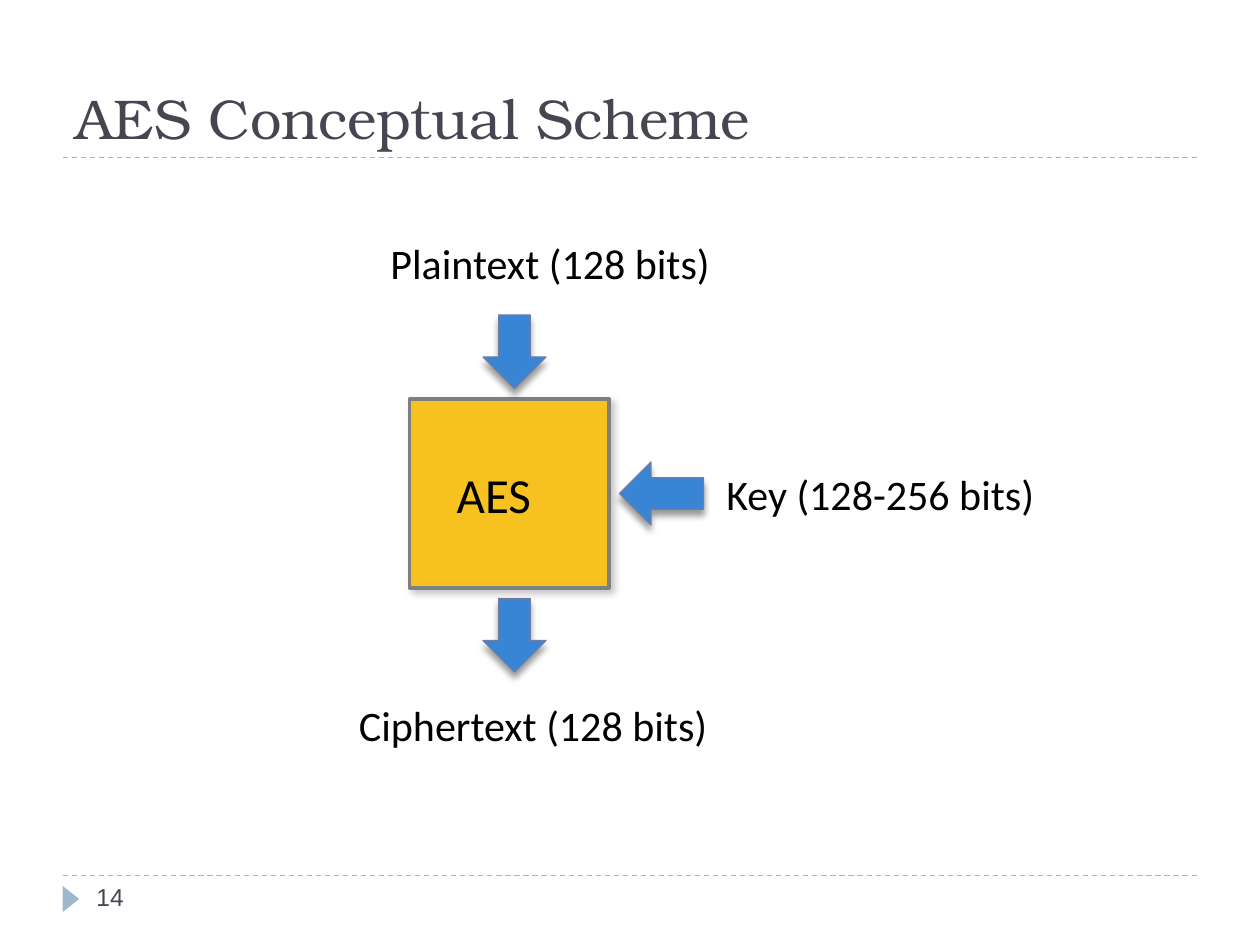
from lxml import etree
from pptx import Presentation
from pptx.dml.color import RGBColor
from pptx.enum.dml import MSO_LINE
from pptx.enum.shapes import MSO_CONNECTOR, MSO_SHAPE
from pptx.enum.text import MSO_ANCHOR, MSO_AUTO_SIZE, PP_ALIGN
from pptx.oxml.ns import qn
from pptx.util import Pt

DASH = MSO_LINE.DASH
STRAIGHT = MSO_CONNECTOR.STRAIGHT
RECTANGLE, TRIANGLE = MSO_SHAPE.RECTANGLE, MSO_SHAPE.ISOSCELES_TRIANGLE
DOWN, LEFT_ARROW = MSO_SHAPE.DOWN_ARROW, MSO_SHAPE.LEFT_ARROW
TOP, MIDDLE, BOTTOM = MSO_ANCHOR.TOP, MSO_ANCHOR.MIDDLE, MSO_ANCHOR.BOTTOM
LEFT = PP_ALIGN.LEFT
NO_FIT = MSO_AUTO_SIZE.NONE

TITLE = "AES Conceptual Scheme"
PAGE_NUMBER = "14"
CIPHER = "AES"
LABELS = [
    ("Plaintext (128 bits)", (216, 132, 200, 36.5)),
    ("Ciphertext (128 bits)", (198, 396, 223, 36.5)),
    ("Key (128-256 bits)", (408, 264, 195, 36.5)),
]

THEME = {
    "rule": "9FB8CD",
    "block": "F7C120",
    "block_edge": "7F7F7F",
    "arrow": "3885D6",
    "arrow_edge": "727CA3",
    "title": {"name": "TeX Gyre Bonum", "size": Pt(32), "color": "464653"},
    "page": {"name": "Arial", "size": Pt(14), "color": "464653"},
    "label": {"name": "Calibri", "size": Pt(24), "color": "000000"},
    "cipher": {"name": "Calibri", "size": Pt(28), "color": "000000"},
}
BLOCK_SHADOW = {"color": "808080", "alpha": 43, "blur": 4, "distance": 3, "angle": 45}
ARROW_SHADOW = {"color": "000000", "alpha": 40, "blur": 4, "distance": 3.4, "angle": 90}

SLIDE_WIDTH, SLIDE_HEIGHT = 720, 540
MARGIN = 36
TITLE_RULE_Y, FOOTER_RULE_Y = 90, 500.4
BLOCK = (234, 228, 114, 108)
GAP = 6
ARROW_BREADTH, DOWN_LENGTH, KEY_LENGTH = 36, 42, 48
DOWN_SHIFT = 3
CIPHER_INSET = 27


def points(box):
    return [Pt(value) for value in box]


def write(shape, text, style, **layout):
    frame = shape.text_frame
    for name, value in {"auto_size": NO_FIT, "vertical_anchor": TOP, **layout}.items():
        setattr(frame, name, value)
    paragraph = frame.paragraphs[0]
    paragraph.alignment = LEFT
    run = paragraph.add_run()
    run.text = text
    for name, value in THEME[style].items():
        if name == "color":
            run.font.color.rgb = RGBColor.from_string(value)
        else:
            setattr(run.font, name, value)


def add_shadow(shape, shadow):
    effects = shape._element.spPr.find(qn("a:effectLst"))
    outer = etree.SubElement(effects, qn("a:outerShdw"), {
        "blurRad": str(Pt(shadow["blur"])),
        "dist": str(Pt(shadow["distance"])),
        "dir": str(shadow["angle"] * 60000),
        "rotWithShape": "0",
    })
    color = etree.SubElement(outer, qn("a:srgbClr"), val=shadow["color"])
    etree.SubElement(color, qn("a:alpha"), val=str(shadow["alpha"] * 1000))


def add_solid(slide, preset, box, fill, edge=None, weight=0.75, shadow=None):
    shape = slide.shapes.add_shape(preset, *points(box))
    shape.shadow.inherit = False
    shape.fill.solid()
    shape.fill.fore_color.rgb = RGBColor.from_string(THEME[fill])
    if edge:
        shape.line.color.rgb = RGBColor.from_string(THEME[edge])
        shape.line.width = Pt(weight)
    else:
        shape.line.fill.background()
    if shadow:
        add_shadow(shape, shadow)
    return shape


def add_rule(slide, y):
    rule = slide.shapes.add_connector(
        STRAIGHT, *points((MARGIN, y, SLIDE_WIDTH - MARGIN, y)))
    rule.line.color.rgb = RGBColor.from_string(THEME["rule"])
    rule.line.width = Pt(0.75)
    rule.line.dash_style = DASH
    etree.SubElement(rule._element.spPr, qn("a:effectLst"))


def add_frame(slide):
    for y in (FOOTER_RULE_Y, TITLE_RULE_Y):
        add_rule(slide, y)
    marker = add_solid(slide, TRIANGLE, (33, 509, 15, 9.4), "rule")
    marker.rotation = 90
    title = slide.shapes.title
    title.left, title.top, title.width, title.height = points(
        (MARGIN, 12, SLIDE_WIDTH - 2 * MARGIN, TITLE_RULE_Y - 12))
    write(title, TITLE, "title", vertical_anchor=BOTTOM, word_wrap=True)
    page = slide.shapes.add_textbox(*points((48, FOOTER_RULE_Y, 156, 29)))
    write(page, PAGE_NUMBER, "page", word_wrap=True)


def add_scheme(slide):
    left, top, width, height = BLOCK
    block = add_solid(slide, RECTANGLE, BLOCK, "block", "block_edge", 2, BLOCK_SHADOW)
    write(block, CIPHER, "cipher", vertical_anchor=MIDDLE, word_wrap=True,
          margin_left=Pt(CIPHER_INSET))

    for text, box in LABELS:
        write(slide.shapes.add_textbox(*points(box)), text, "label", word_wrap=False)

    down_x = left + (width - ARROW_BREADTH) / 2 + DOWN_SHIFT
    key_y = top + (height - ARROW_BREADTH) / 2
    arrows = [
        (DOWN, (down_x, top - GAP - DOWN_LENGTH, ARROW_BREADTH, DOWN_LENGTH)),
        (DOWN, (down_x, top + height + GAP, ARROW_BREADTH, DOWN_LENGTH)),
        (LEFT_ARROW, (left + width + GAP, key_y, KEY_LENGTH, ARROW_BREADTH)),
    ]
    for preset, box in arrows:
        add_solid(slide, preset, box, "arrow", "arrow_edge", shadow=ARROW_SHADOW)


def main():
    deck = Presentation()
    deck.slide_width, deck.slide_height = points((SLIDE_WIDTH, SLIDE_HEIGHT))
    slide = deck.slides.add_slide(deck.slide_layouts[5])
    add_frame(slide)
    add_scheme(slide)
    deck.save("out.pptx")


if __name__ == "__main__":
    main()
